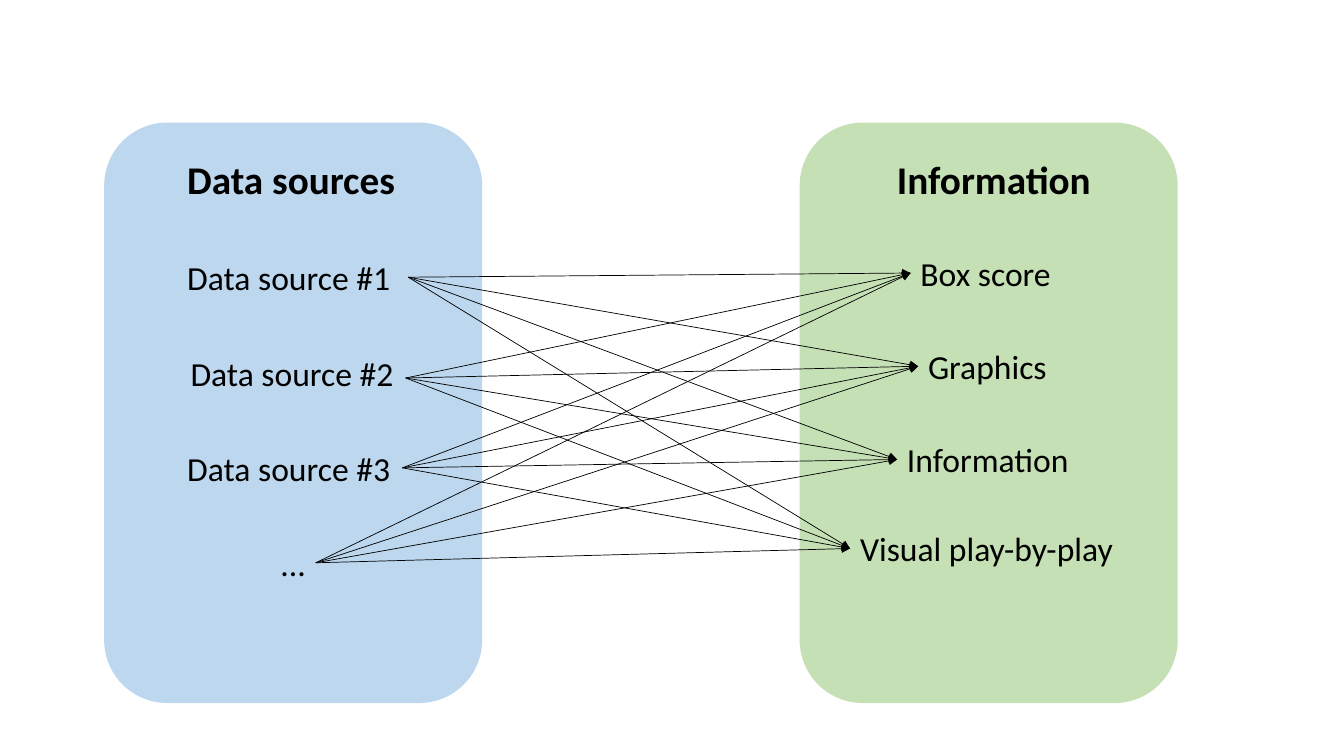
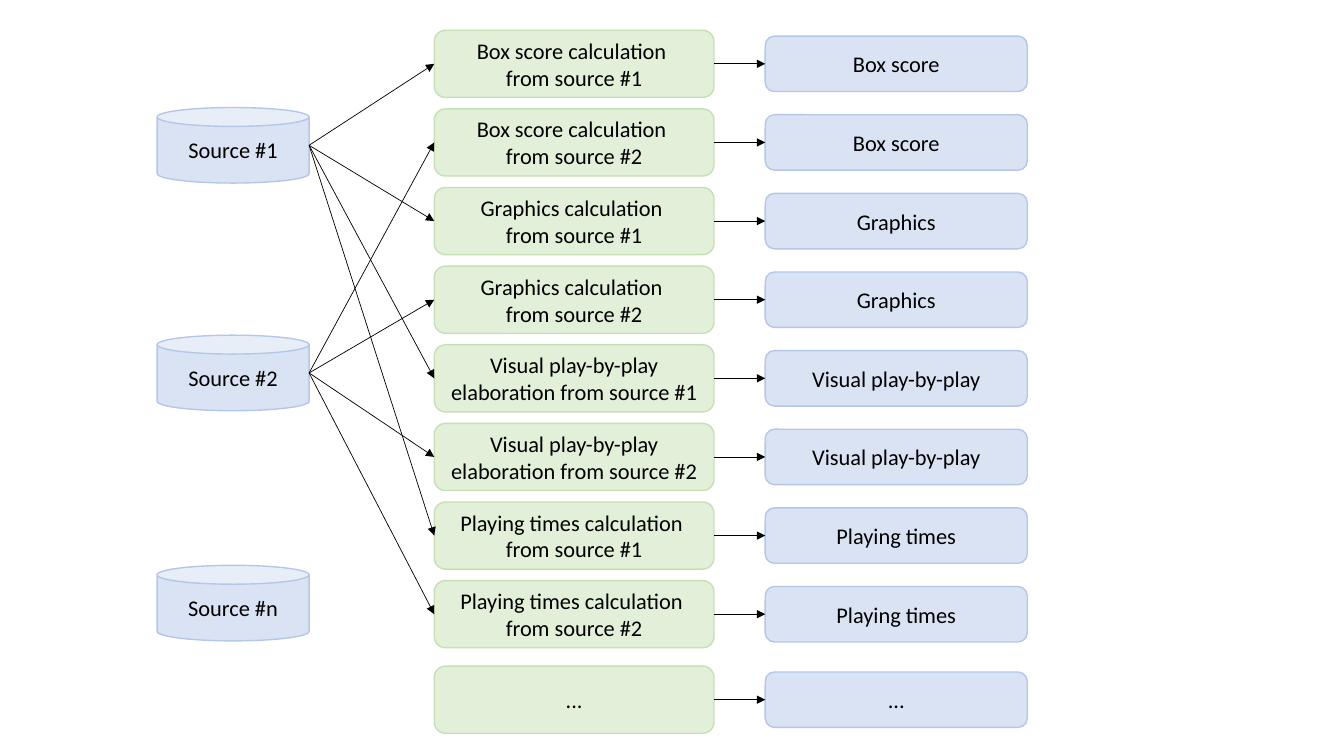
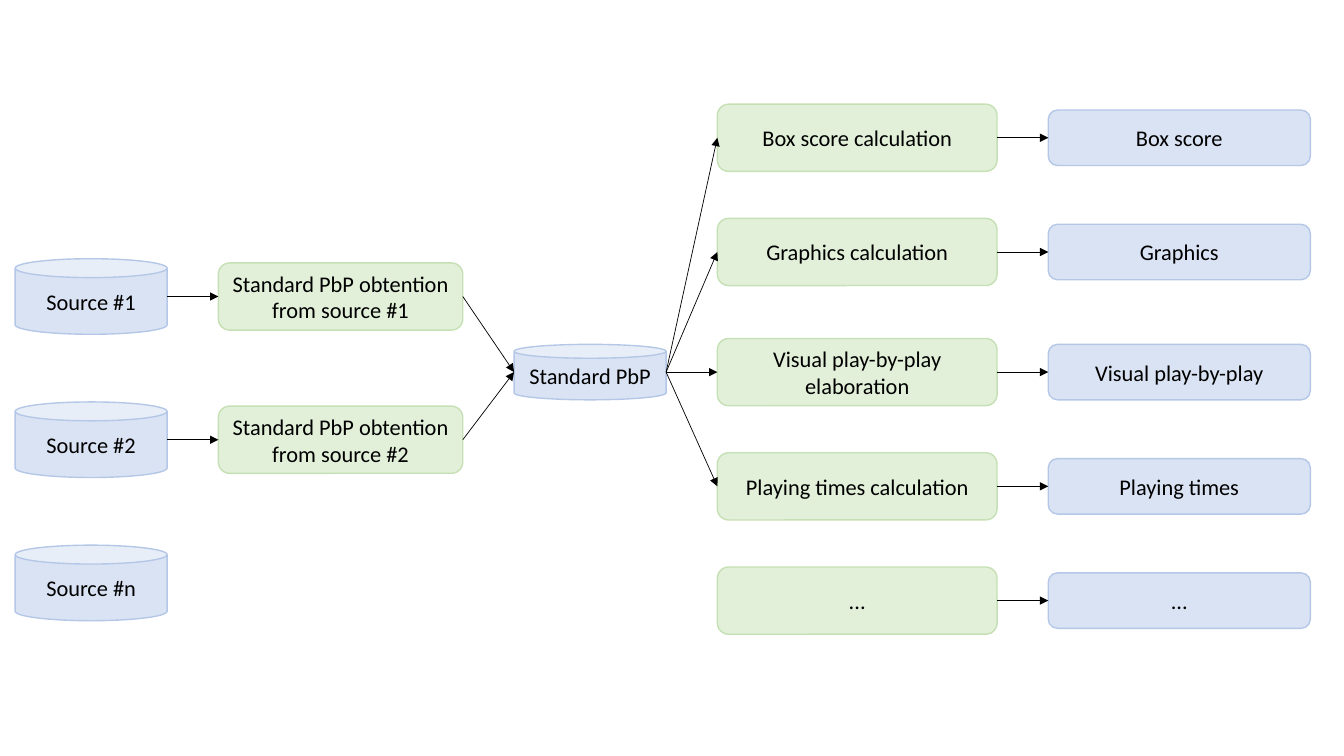
from lxml import etree
from pptx import Presentation
from pptx import util as u
from pptx.dml.color import RGBColor
from pptx.enum import shapes, text
from pptx.oxml.ns import qn

COLS, ROWS = 160, 90
CELL = u.Inches(7.5) // ROWS
FONT = "Calibri"
COLORS = {
    "black": "000000",
    "source_panel": "BDD7EE",
    "info_panel": "C5E0B4",
    "process": "E2F0D9",
    "process_line": "C5E0B4",
    "data": "DAE3F3",
    "data_line": "B4C7E7",
}
KIND = shapes.MSO_SHAPE
CAN, ROUND = KIND.CAN, KIND.ROUNDED_RECTANGLE
GAP = 6.1
PROCESS_W, PROCESS_H = 33.3, 8
OUTPUT_W, OUTPUT_H = 31.2, 6.6
STORE_W = 18.1
SOURCES = ["Source #1", "Source #2", "Source #n"]


def cells(n):
    """Turn a number of grid cells into a length."""
    return u.Emu(round(n * CELL))


def color(name):
    """Look up a colour of the palette."""
    return RGBColor.from_string(COLORS[name])


def write(tf, lines, size, bold=False, align=text.PP_ALIGN.LEFT):
    """Fill a text frame with one paragraph per line."""
    for i, line in enumerate(lines):
        p = tf.paragraphs[0] if i == 0 else tf.add_paragraph()
        p.alignment = align
        r = p.add_run()
        r.text = line
        r.font.name, r.font.size, r.font.bold = FONT, u.Pt(size), bold
        r.font.color.rgb = color("black")


def add_box(sl, kind, x, mid, w, h, fill, label=None):
    """Add a filled shape centred on the row mid, with an optional label."""
    sp = sl.shapes.add_shape(kind, cells(x), cells(mid - h / 2), cells(w), cells(h))
    sp.shadow.inherit = False
    sp.fill.solid()
    sp.fill.fore_color.rgb = color(fill)
    if label is None:
        sp.line.fill.background()
        return sp
    sp.line.color.rgb = color(fill + "_line")
    sp.line.width = u.Pt(1)
    tf = sp.text_frame
    tf.word_wrap = True
    tf.vertical_anchor = text.MSO_ANCHOR.MIDDLE
    write(tf, label.split("\n"), 16, align=text.PP_ALIGN.CENTER)
    return sp


def add_label(sl, x, mid, w, label, size=24, bold=False, wrap=False):
    """Add a text box centred on the row mid."""
    h = 6.8 if bold else 6
    sp = sl.shapes.add_textbox(cells(x), cells(mid - h / 2), cells(w), cells(h))
    tf = sp.text_frame
    tf.word_wrap = wrap
    tf.auto_size = text.MSO_AUTO_SIZE.SHAPE_TO_FIT_TEXT
    write(tf, [label], size, bold)
    return sp


def add_arrow(sl, a, b, drop=0):
    """Draw an arrow from the right side of a to the left side of b."""
    line = sl.shapes.add_connector(
        shapes.MSO_CONNECTOR.STRAIGHT,
        a.left + a.width, a.top + a.height // 2 + cells(drop),
        b.left, b.top + b.height // 2)
    line.line.color.rgb = color("black")
    line.line.width = u.Pt(0.5)
    etree.SubElement(line.line._get_or_add_ln(), qn("a:tailEnd"), type="triangle")
    etree.SubElement(line._element.spPr, qn("a:effectLst"))


def add_panel(sl, x, y, fill, heading, items):
    """Add a rounded panel with a heading and labels placed inside it."""
    w, h = 45, 69.1
    add_box(sl, ROUND, x, y + h / 2, w, h, fill)
    dx, dw, label = heading
    add_label(sl, x + dx, y + 6.7, dw, label, 28, True)
    return [add_label(sl, x + dx, y + dy, dw, label, wrap=label.endswith("#1"))
            for dx, dy, dw, label in items]


def add_sources(sl, x, mids):
    """Add the column of source stores."""
    return [add_box(sl, CAN, x, mid, STORE_W, 9, "data", label)
            for label, mid in zip(SOURCES, mids)]


def add_outputs(sl, x, mids, rows):
    """Add rows of a process box leading to its output, and return the processes."""
    processes = []
    for mid, (process, output) in zip(mids, rows):
        a = add_box(sl, ROUND, x, mid, PROCESS_W, PROCESS_H, "process", process)
        b = add_box(sl, ROUND, x + PROCESS_W + GAP, mid, OUTPUT_W, OUTPUT_H,
                    "data", output)
        add_arrow(sl, a, b)
        processes.append(a)
    return processes


def mapping_slide(sl):
    """Link every data source to every kind of information."""
    infos = add_panel(sl, 95.2, 14.6, "info_panel", (10.4, 25.8, "Information"), [
        (13.2, 17.9, 18, "Box score"),
        (14.1, 29, 16.7, "Graphics"),
        (11.6, 40.1, 21.8, "Information"),
        (6, 50.7, 33, "Visual play-by-play"),
    ])
    sources = add_panel(sl, 12.4, 14.6, "source_panel", (8.7, 27.5, "Data sources"), [
        (8.7, 18.4, 27.5, "Data source #1"),
        (9.1, 29.8, 26.8, "Data source #2"),
        (8.7, 41.1, 26.8, "Data source #3"),
        (19.8, 52.4, 5.4, "..."),
    ])
    for source, drop in zip(sources, (0, 0.6, 0, 0)):
        for info in infos:
            add_arrow(sl, source, info, drop)


def direct_slide(sl):
    """Show one calculation per source and output."""
    kinds = [
        ("Box score calculation \n", "Box score"),
        ("Graphics calculation \n", "Graphics"),
        ("Visual play-by-play elaboration ", "Visual play-by-play"),
        ("Playing times calculation \n", "Playing times"),
    ]
    rows = [(f"{process}from source #{n}", output)
            for process, output in kinds for n in (1, 2)]
    mids = [7.6 + 9.36 * i for i in range(len(rows))] + [83.3]
    processes = add_outputs(sl, 51.7, mids, rows + [("...", "...")])
    sources = add_sources(sl, 18.7, (17.3, 44.4, 71.8))
    for i, process in enumerate(processes[:-1]):
        add_arrow(sl, sources[i % 2], process)


def standard_slide(sl):
    """Show the sources joined in one standard store before the outputs."""
    mids = [35.3 + 17.05 * i for i in range(len(SOURCES))]
    x = 1.8
    sources = add_sources(sl, x, mids)
    x += STORE_W + GAP
    joins = [add_box(sl, ROUND, x, mid, 29.1, PROCESS_H, "process",
                     f"Standard PbP obtention \nfrom source #{n}")
             for n, mid in enumerate(mids[:2], 1)]
    x += 29.1 + GAP
    store = add_box(sl, CAN, x, 44.3, STORE_W, 6.6, "data", "Standard PbP")
    x += STORE_W + GAP
    processes = add_outputs(sl, x, (16.4, 30, 44.3, 57.9, 71.5), [
        ("Box score calculation", "Box score"),
        ("Graphics calculation", "Graphics"),
        ("Visual play-by-play elaboration", "Visual play-by-play"),
        ("Playing times calculation", "Playing times"),
        ("...", "..."),
    ])
    for source, join in zip(sources, joins):
        add_arrow(sl, source, join)
        add_arrow(sl, join, store)
    for process in processes[:-1]:
        add_arrow(sl, store, process)


def main():
    """Build the three slides and save them."""
    prs = Presentation()
    prs.slide_width, prs.slide_height = cells(COLS), cells(ROWS)
    for build in (mapping_slide, direct_slide, standard_slide):
        build(prs.slides.add_slide(prs.slide_layouts[6]))
    prs.save("out.pptx")


if __name__ == "__main__":
    main()
